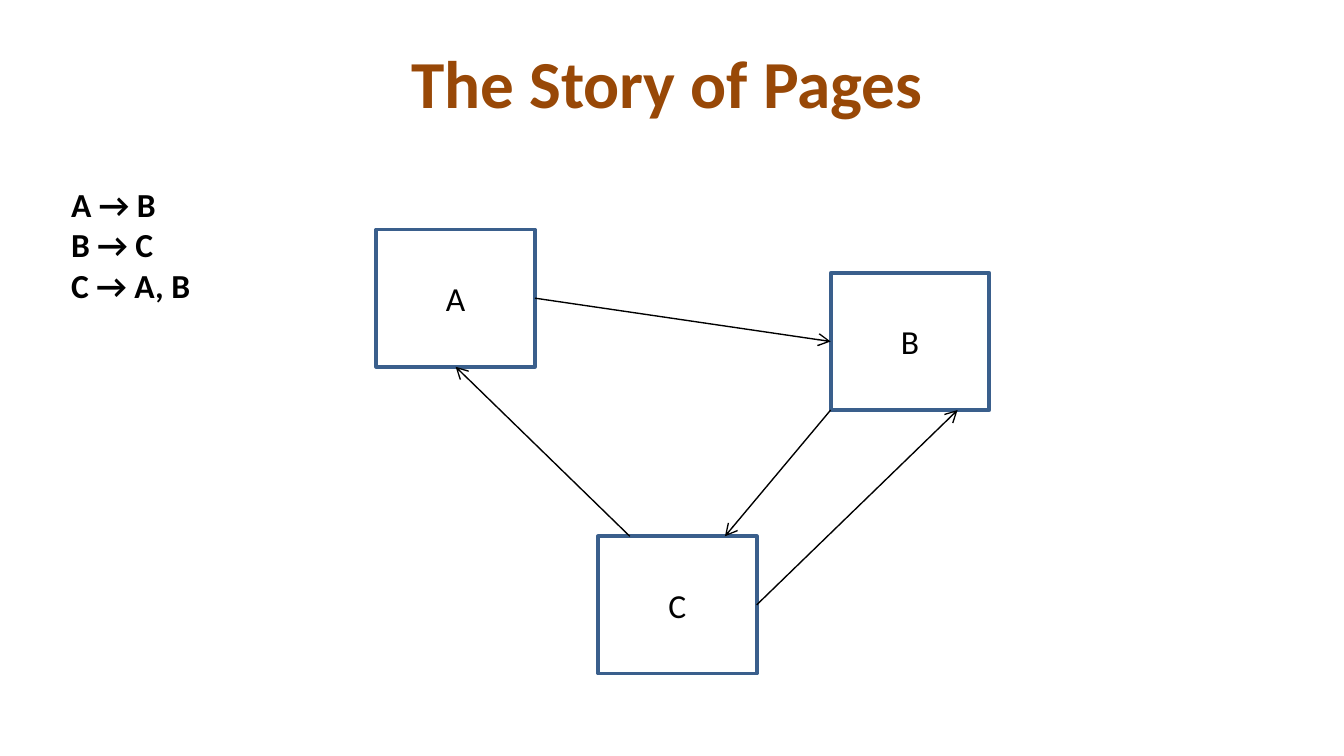
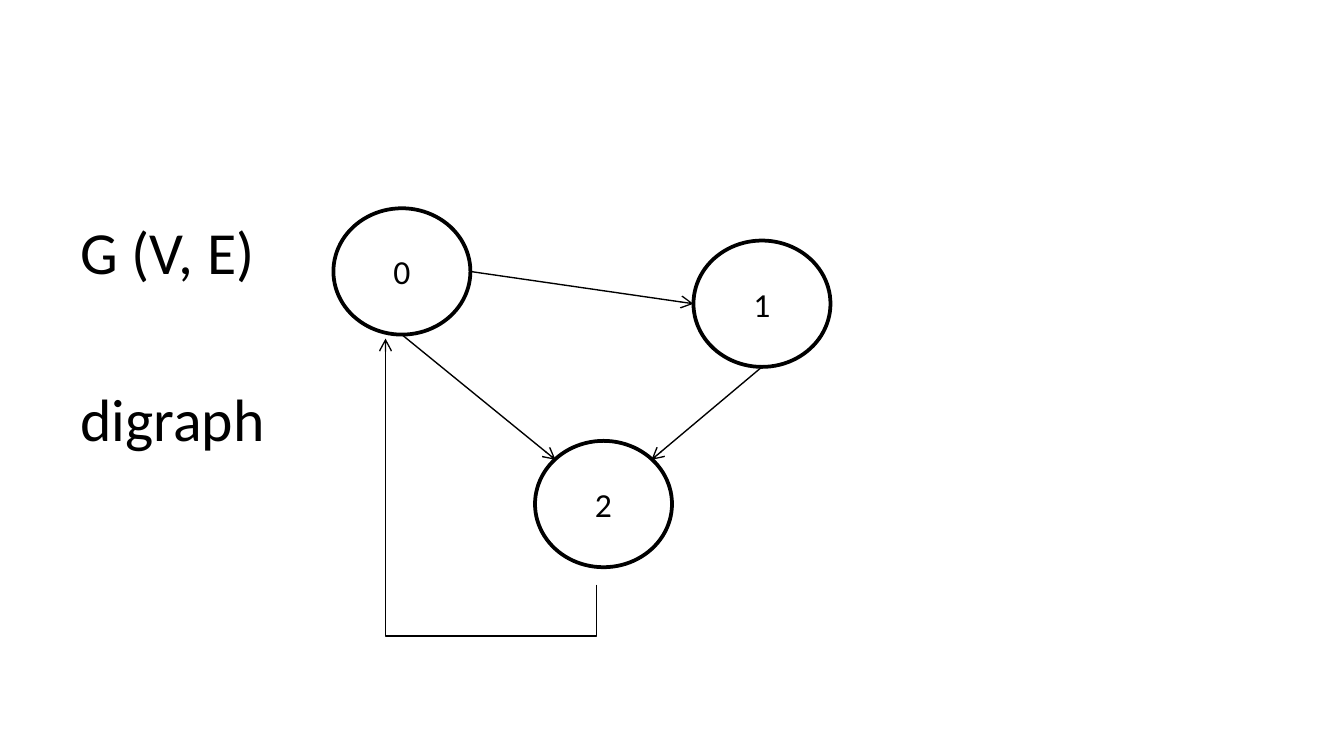
"""Build two slides that show page links as a directed graph."""
from lxml.etree import SubElement
from pptx import Presentation
from pptx.dml.color import RGBColor
from pptx.enum.shapes import MSO_CONNECTOR as Link, MSO_SHAPE as Shape
from pptx.enum.text import MSO_ANCHOR as Anchor, MSO_AUTO_SIZE as Fit, PP_ALIGN as Align
from pptx.oxml.ns import qn
from pptx.util import Pt

COLORS = {"ink": "000000", "paper": "FFFFFF", "title": "984807", "page": "3A5F8C"}
FONT = "Calibri"

TITLE = "The Story of Pages"
PAGE_LINKS = ["A → B", "B → C", "C → A, B"]
PAGES = {"A": (201.6, 123), "B": (445, 146.2), "C": (320.4, 287.3)}
PAGE_SIZE = (85, 73.5)
PAGE_ARROWS = [
    ("A", (1, 0.5), "B", (0, 0.5)),
    ("B", (0, 1), "C", (0.8, 0)),
    ("C", (0.2, 0), "A", (0.5, 1)),
    ("C", (1, 0.5), "B", (0.8, 1)),
]

GRAPH_TERMS = ["G (V, E)", "digraph"]
VERTICES = {"0": (178.6, 111.6), "1": (371.5, 128.9), "2": (286.6, 236.2)}
VERTEX_SIZE = (73.4, 67.7)
EDGES = [
    ("0", (0.5, 1), "2", (0.15, 0.15)),
    ("1", (0.5, 1), "2", (0.85, 0.15)),
    ("0", (1, 0.5), "1", (0, 0.5)),
]
RETURN_EDGE = {"start": (319.7, 313.2), "end": (206.6, 181.4), "drop": 27.6}

SIDES = {(0.5, 0): 0, (0, 0.5): 1, (0.5, 1): 2, (1, 0.5): 3}


def rgb(name):
    return RGBColor.from_string(COLORS[name])


def write(frame, lines, size=18, color="ink", bold=False, align=Align.LEFT,
          anchor=Anchor.TOP, gap=0):
    frame.word_wrap = True
    frame.vertical_anchor = anchor
    for index, line in enumerate(lines):
        paragraph = frame.add_paragraph() if index else frame.paragraphs[0]
        paragraph.alignment = align
        if index and gap:
            paragraph.space_before = Pt(gap)
        run = paragraph.add_run()
        run.text = line
        run.font.name, run.font.size, run.font.bold = FONT, Pt(size), bold
        run.font.color.rgb = rgb(color)


def add_text(slide, lines, left, top, width, height, **style):
    frame = slide.shapes.add_textbox(Pt(left), Pt(top), Pt(width), Pt(height)).text_frame
    write(frame, lines, **style)
    frame.auto_size = Fit.SHAPE_TO_FIT_TEXT


def add_nodes(slide, places, size, outline, color):
    nodes = {}
    for label, (left, top) in places.items():
        node = slide.shapes.add_shape(outline, Pt(left), Pt(top), *map(Pt, size))
        node.shadow.inherit = False
        node.fill.solid()
        node.fill.fore_color.rgb = rgb("paper")
        node.line.color.rgb = rgb(color)
        node.line.width = Pt(2)
        write(node.text_frame, [label], align=Align.CENTER, anchor=Anchor.MIDDLE)
        nodes[label] = node
    return nodes


def add_arrow(slide, start, end, kind=Link.STRAIGHT):
    arrow = slide.shapes.add_connector(kind, *map(Pt, (*start, *end)))
    arrow.line.color.rgb = rgb("ink")
    arrow.line.width = Pt(0.75)
    properties = arrow._element.spPr
    SubElement(properties.find(qn("a:ln")), qn("a:tailEnd"), type="arrow")
    SubElement(properties, qn("a:effectLst"))
    return arrow


def add_arrows(slide, nodes, places, size, arrows):
    def point(label, part):
        return [place + length * share
                for place, length, share in zip(places[label], size, part)]

    for source, leave, target, arrive in arrows:
        arrow = add_arrow(slide, point(source, leave), point(target, arrive))
        if nodes[source].auto_shape_type == Shape.RECTANGLE:
            if leave in SIDES:
                arrow.begin_connect(nodes[source], SIDES[leave])
            if arrive in SIDES:
                arrow.end_connect(nodes[target], SIDES[arrive])


def add_return_edge(slide, start, end, drop):
    center_x, center_y = [(a + b) / 2 for a, b in zip(start, end)]
    half_x, half_y = (start[0] - end[0]) / 2, (start[1] - end[1]) / 2
    edge = add_arrow(slide, (center_x + half_y, center_y - half_x),
                     (center_x - half_y, center_y + half_x), Link.ELBOW)
    properties = edge._element.spPr
    properties.find(qn("a:xfrm")).set("rot", str(90 * 60000))
    bend = round(-drop / (2 * half_y) * 100000)
    guides = properties.find(qn("a:prstGeom")).find(qn("a:avLst"))
    SubElement(guides, qn("a:gd"), name="adj1", fmla=f"val {bend}")


def build_pages(deck):
    slide = deck.slides.add_slide(deck.slide_layouts[5])
    title = slide.shapes.title
    title.left, title.top, title.width, title.height = map(Pt, (14.4, 10, 686, 67.7))
    write(title.text_frame, [TITLE], size=36, color="title", bold=True,
          align=Align.CENTER, anchor=Anchor.MIDDLE)
    add_text(slide, PAGE_LINKS, 31, 95, 198.7, 72.7, bold=True)
    nodes = add_nodes(slide, PAGES, PAGE_SIZE, Shape.RECTANGLE, "page")
    add_arrows(slide, nodes, PAGES, PAGE_SIZE, PAGE_ARROWS)


def build_graph(deck):
    slide = deck.slides.add_slide(deck.slide_layouts[6])
    add_text(slide, GRAPH_TERMS, 36, 111.6, 648, 136, size=32, gap=51)
    nodes = add_nodes(slide, VERTICES, VERTEX_SIZE, Shape.OVAL, "ink")
    add_arrows(slide, nodes, VERTICES, VERTEX_SIZE, EDGES)
    add_return_edge(slide, **RETURN_EDGE)


def main():
    deck = Presentation()
    deck.slide_width, deck.slide_height = Pt(720), Pt(405)
    build_pages(deck)
    build_graph(deck)
    deck.save("out.pptx")


if __name__ == "__main__":
    main()
